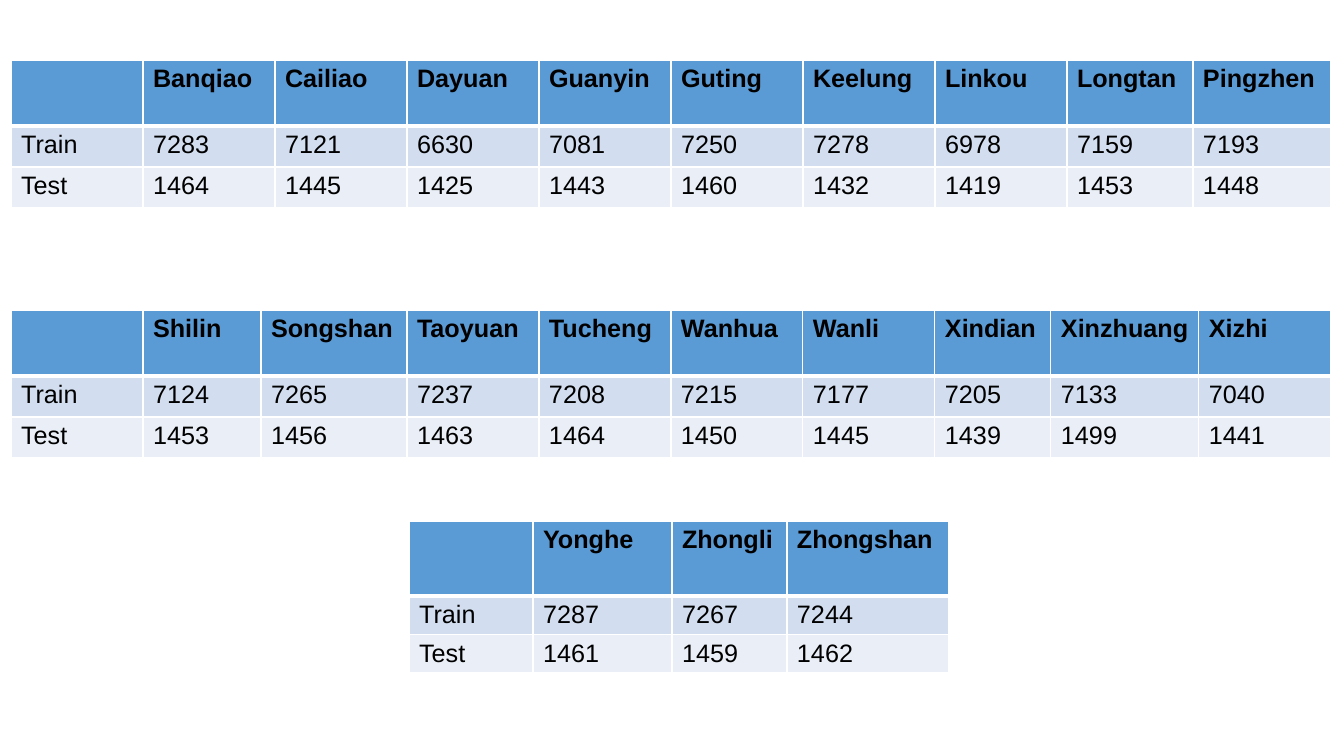
from dataclasses import dataclass

from lxml import etree
from pptx import Presentation
from pptx.dml.color import RGBColor
from pptx.enum.text import MSO_ANCHOR
from pptx.oxml.ns import qn
from pptx.util import Pt

TOP = MSO_ANCHOR.TOP
SCALE = 12192000 / 1344


def px(n):
    return round(n * SCALE)


@dataclass(frozen=True)
class Theme:
    font: str = "Arial"
    size: int = 18
    text: str = "000000"
    border: str = "FFFFFF"
    thin: int = 1
    thick: int = 3
    fills: tuple = ("5B9BD5", "D2DEEF", "EAEFF7")


class Deck:
    def __init__(self, theme):
        self.theme = theme
        self.prs = Presentation()
        self.prs.slide_width = px(1344)
        self.prs.slide_height = px(756)
        self.s = self.prs.slides.add_slide(self.prs.slide_layouts[6])

    def border(self, cell, side, width):
        ln = etree.SubElement(cell._tc.get_or_add_tcPr(), qn(f"a:ln{side}"), w=str(Pt(width)))
        fill = etree.SubElement(ln, qn("a:solidFill"))
        etree.SubElement(fill, qn("a:srgbClr"), val=self.theme.border)

    def cell(self, cell, row, text):
        t = self.theme
        for side in "LRTB":
            under_header = (row, side) in ((0, "B"), (1, "T"))
            self.border(cell, side, t.thick if under_header else t.thin)
        cell.fill.solid()
        cell.fill.fore_color.rgb = RGBColor.from_string(t.fills[row])
        cell.vertical_anchor = TOP
        p = cell.text_frame.paragraphs[0]
        if text:
            p.add_run().text = text
        p.font.name = t.font
        p.font.size = Pt(t.size)
        p.font.bold = row == 0
        p.font.color.rgb = RGBColor.from_string(t.text)

    def table(self, left, top, widths, heights, rows):
        frame = self.s.shapes.add_table(
            len(rows), len(widths), px(left), px(top), px(sum(widths)), px(sum(heights)))
        table = frame.table
        table.horz_banding = False
        for column, width in zip(table.columns, widths):
            column.width = px(width)
        for i, (height, values) in enumerate(zip(heights, rows)):
            table.rows[i].height = px(height)
            for j, value in enumerate(values):
                self.cell(table.cell(i, j), i, value)


def station_rows(stations, train, test):
    return [["", *stations.split()], ["Train", *train.split()], ["Test", *test.split()]]


def main():
    deck = Deck(Theme())
    deck.table(11, 60, [132] * 8 + [126, 138], [66, 41, 41], station_rows(
        "Banqiao Cailiao Dayuan Guanyin Guting Keelung Linkou Longtan Pingzhen",
        "7283 7121 6630 7081 7250 7278 6978 7159 7193",
        "1464 1445 1425 1443 1460 1432 1419 1453 1448"))
    deck.table(11, 310, [132, 118, 146] + [132] * 4 + [116, 148, 132], [66, 41, 41], station_rows(
        "Shilin Songshan Taoyuan Tucheng Wanhua Wanli Xindian Xinzhuang Xizhi",
        "7124 7265 7237 7208 7215 7177 7205 7133 7040",
        "1453 1456 1463 1464 1450 1445 1439 1499 1441"))
    deck.table(409, 521, [124, 139, 115, 162], [75, 38, 38], station_rows(
        "Yonghe Zhongli Zhongshan",
        "7287 7267 7244",
        "1461 1459 1462"))
    deck.prs.save("out.pptx")


if __name__ == "__main__":
    main()
